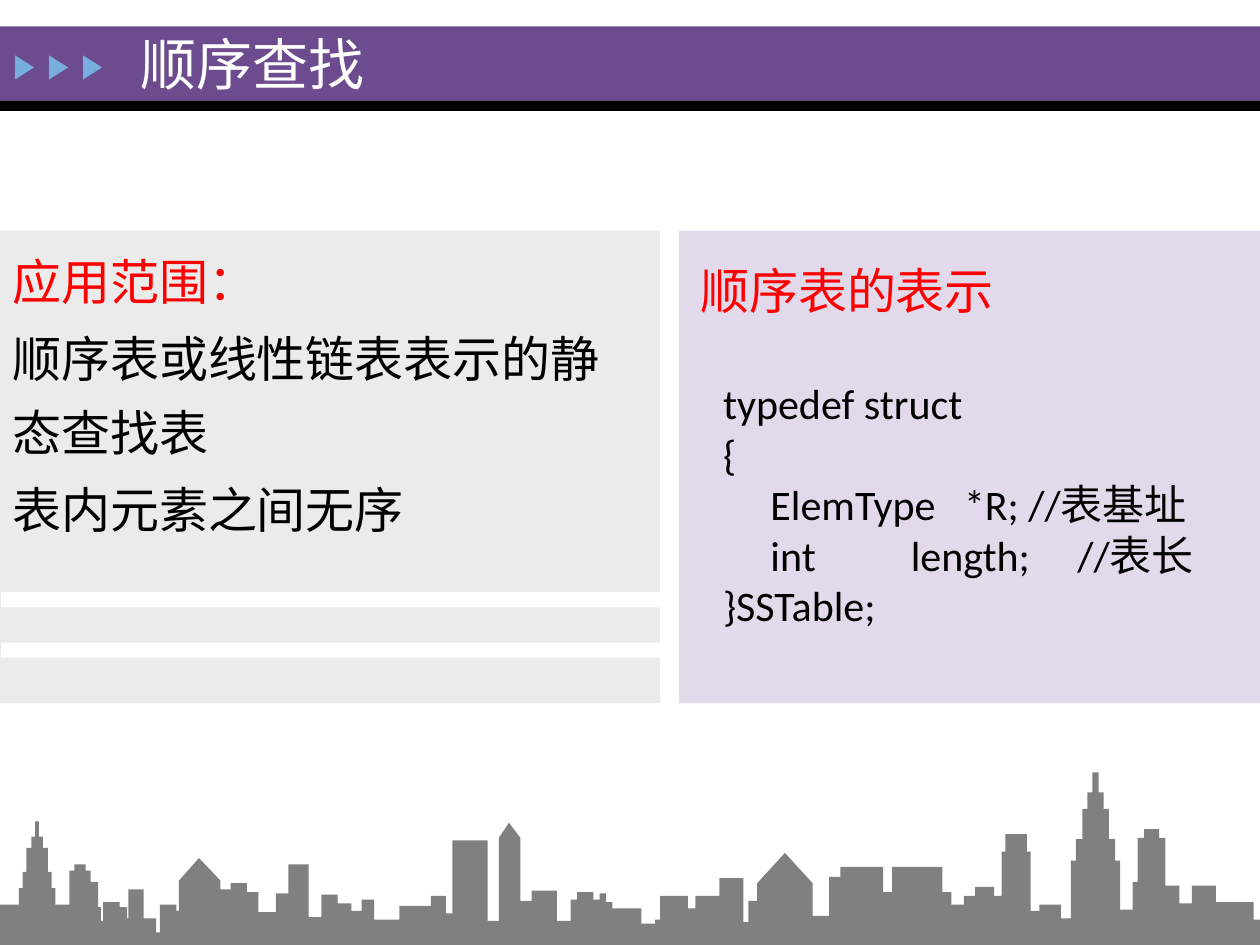
from dataclasses import dataclass
from typing import NamedTuple, Optional, Union

from pptx import Presentation
from pptx import util as u
from pptx.dml.color import RGBColor
from pptx.enum import shapes, text

PX = 9144  # EMU per px, 100 px to the inch
WIDTH, HEIGHT = 1000, 750
BAND_TOP, BAND_HEIGHT, RULE_HEIGHT = 21, 59, 8
PANEL_TOP, PANEL_HEIGHT = 183, 375
SCOPE_WIDTH, PANEL_GAP = 524, 15
CODE_LEFT = SCOPE_WIDTH + PANEL_GAP


@dataclass(frozen=True)
class Theme:
    font: str = "Calibri"
    title_size: int = 32
    body_size: int = 28
    code_size: int = 24
    purple: str = "6C4C8F"
    lilac: str = "E2D9EB"
    blue: str = "76AEDD"
    gray: str = "EBEBEB"
    city: str = "808080"
    red: str = "FF0000"
    black: str = "000000"
    white: str = "FFFFFF"


THEME = Theme()


class Area(NamedTuple):
    left: int
    top: int
    width: int
    height: int

    def emu(self) -> list[int]:
        return [value * PX for value in self]


class Line(NamedTuple):
    words: str
    color: str


@dataclass(frozen=True)
class Block:
    area: Area
    lines: list[Line]
    size: int
    anchor: text.MSO_ANCHOR = text.MSO_ANCHOR.TOP
    spacing: float = 1.0
    gap: int = 0
    fill: Optional[str] = None


# Buildings: each gives its roof line as (x, height above the ground)
Outline = list[tuple[int, int]]


@dataclass(frozen=True)
class Tower:
    """Mirrored tiers, lowest first; without a step all bands are equal."""
    width: int
    tiers: tuple[int, ...]
    step: Optional[int] = None

    def outline(self, left: int) -> Outline:
        step = self.step or self.width / (2 * len(self.tiers) - 1)
        rise, fall = [], []
        for index, height in enumerate(self.tiers):
            inset = round(index * step)
            below = self.tiers[max(index - 1, 0)]
            rise += [(left + inset, below), (left + inset, height)]
            right = left + self.width - inset
            fall += [(right, below), (right, height)]
        return rise + fall[::-1]


@dataclass(frozen=True)
class House:
    """A gable with its ridge in the middle."""
    width: int
    eaves: int
    ridge: int

    def outline(self, left: int) -> Outline:
        return [(left, self.eaves),
                (left + self.width // 2, self.ridge),
                (left + self.width, self.eaves)]


Building = Union[Tower, House]


def row(*sizes: tuple[int, int]) -> list[Building]:
    """Flat roofs side by side, each as (width, height)."""
    return [Tower(width, (height,)) for width, height in sizes]


# Districts from left to right; every building starts where the last one ends
OLD_TOWN = [
    *row((15, 32)),
    Tower(29, (45, 58, 77, 86, 98)),
    *row((11, 32)),
    Tower(17, (59, 64), step=4),
    *row((6, 50), (2, 30), (2, 19), (13, 34), (6, 30), (1, 21),
         (12, 44), (10, 21), (3, 10), (13, 32), (2, 27)),
]
MARKET = [
    House(33, eaves=51, ridge=69),
    *row((8, 44), (13, 49), (9, 42), (14, 26), (10, 41), (16, 64), (10, 22),
         (13, 40), (11, 33), (8, 27), (10, 36), (20, 20), (25, 31), (12, 39),
         (5, 25)),
]
OFFICES = [
    *row((28, 83), (9, 19)),
    House(17, eaves=85, ridge=97),
    *row((9, 35), (20, 43), (11, 19)),
    Tower(23, (36, 42), step=5),
    *row((5, 41), (5, 34), (23, 29), (11, 17), (4, 20)),
]
HARBOUR = [
    *row((22, 39), (6, 29), (19, 39), (19, 53), (4, 18), (7, 35)),
    House(44, eaves=49, ridge=73),
    *row((13, 23), (9, 54), (34, 62), (7, 42), (40, 62), (7, 42)),
]
DOWNTOWN = [
    *row((10, 32), (9, 39), (15, 46), (6, 39)),
    Tower(23, (74, 88), step=3),
    *row((7, 27), (17, 32), (8, 21)),
    Tower(39, (67, 84, 108, 121, 137)),
    *row((10, 28), (4, 50)),
    Tower(22, (85, 92), step=5),
    *row((11, 47), (10, 33), (19, 47), (30, 34), (5, 20)),
]
CITY = OLD_TOWN + MARKET + OFFICES + HARBOUR + DOWNTOWN

# Text blocks
TITLE = Block(Area(102, 22, 338, 56), [Line("顺序查找", THEME.white)],
              THEME.title_size, text.MSO_ANCHOR.MIDDLE)
SCOPE = Block(
    Area(0, PANEL_TOP, SCOPE_WIDTH, PANEL_HEIGHT),
    [Line("应用范围：", THEME.red),
     Line("顺序表或线性链表表示的静态查找表", THEME.black),
     Line("表内元素之间无序", THEME.black)],
    THEME.body_size, spacing=1.25, gap=2, fill=THEME.gray)
CODE_HEADING = Block(Area(546, 202, 286, 57),
                     [Line("顺序表的表示", THEME.red)], THEME.body_size)
CODE = Block(
    Area(564, 295, 420, 212),
    [Line(words, THEME.black) for words in (
        "typedef struct",
        "{",
        "     ElemType   *R; //表基址",
        "     int          length;     //表长",
        "}SSTable;")],
    THEME.code_size)


def paint(shape, color: str) -> None:
    shape.shadow.inherit = False
    shape.fill.solid()
    shape.fill.fore_color.rgb = RGBColor.from_string(color)
    shape.line.fill.background()


def add_shape(page, area: Area, color: str,
              kind=shapes.MSO_SHAPE.RECTANGLE, rotation: int = 0):
    shape = page.shapes.add_shape(kind, *area.emu())
    shape.rotation = rotation
    paint(shape, color)
    return shape


def add_block(page, block: Block) -> None:
    if block.fill:
        box = add_shape(page, block.area, block.fill)
    else:
        box = page.shapes.add_textbox(*block.area.emu())
    frame = box.text_frame
    frame.word_wrap = True
    frame.vertical_anchor = block.anchor
    for index, line in enumerate(block.lines):
        para = frame.add_paragraph() if index else frame.paragraphs[0]
        para.alignment = text.PP_ALIGN.LEFT
        para.line_spacing = block.spacing
        if index and block.gap:
            para.space_before = u.Pt(block.gap)
        span = para.add_run()
        span.text = line.words
        span.font.name = THEME.font
        span.font.size = u.Pt(block.size)
        span.font.color.rgb = RGBColor.from_string(line.color)


def add_skyline(page, city: list[Building]) -> None:
    left, points = 0, []
    for building in city:
        points += [(x, HEIGHT - height) for x, height in building.outline(left)]
        left += building.width
    builder = page.shapes.build_freeform(0, HEIGHT, scale=PX)
    builder.add_line_segments([*points, (left, HEIGHT)], close=True)
    paint(builder.convert_to_shape(), THEME.city)


def main() -> None:
    deck = Presentation()
    deck.slide_width, deck.slide_height = WIDTH * PX, HEIGHT * PX
    page = deck.slides.add_slide(deck.slide_layouts[6])

    # Title band with three arrows
    add_shape(page, Area(0, BAND_TOP, WIDTH, BAND_HEIGHT), THEME.purple)
    add_shape(page, Area(0, BAND_TOP + BAND_HEIGHT, WIDTH, RULE_HEIGHT),
              THEME.black)
    for index in range(3):
        add_shape(page, Area(10 + 27 * index, 46, 19, 15), THEME.blue,
                  shapes.MSO_SHAPE.ISOSCELES_TRIANGLE, rotation=90)
    add_block(page, TITLE)

    # Panels and skyline
    add_block(page, SCOPE)
    add_shape(page, Area(CODE_LEFT, PANEL_TOP, WIDTH - CODE_LEFT, PANEL_HEIGHT),
              THEME.lilac)
    add_skyline(page, CITY)
    add_block(page, CODE)
    add_block(page, CODE_HEADING)

    # White stripes across the left panel
    for top in (470, 510):
        add_shape(page, Area(1, top, SCOPE_WIDTH, 12), THEME.white)

    deck.save("out.pptx")


if __name__ == "__main__":
    main()
